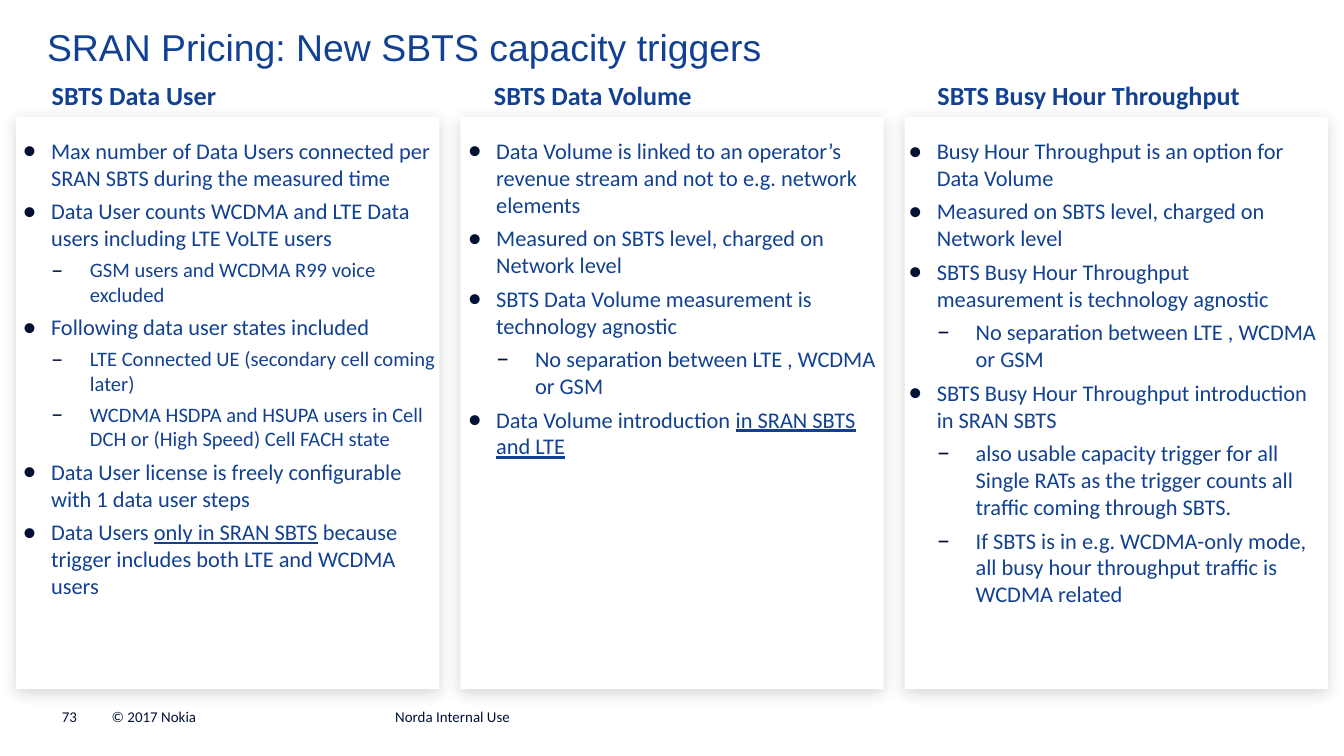
"""Build the slide on SBTS capacity triggers: three bulleted panels under headings."""
from dataclasses import dataclass
from typing import NamedTuple

from lxml.etree import SubElement
from pptx import Presentation
from pptx.dml.color import RGBColor as RGB
from pptx.enum.shapes import MSO_SHAPE as SHAPE
from pptx.enum.text import MSO_ANCHOR as ANCHOR
from pptx.oxml.ns import qn
from pptx.util import Pt


@dataclass(frozen=True)
class Theme:
    blue: str = "124191"
    navy: str = "001135"
    white: str = "FFFFFF"
    shadow: str = "808080"
    title_font: str = "Arial"
    body_font: str = "Calibri"
    title: float = 20
    heading: float = 14
    body: float = 12
    small: float = 11
    footer: float = 8


T = Theme()


class Box(NamedTuple):
    left: float
    top: float
    width: float
    height: float


class Style(NamedTuple):
    size: float
    color: str = T.blue
    font: str = T.body_font
    bold: bool = False


class Level(NamedTuple):
    number: int
    char: str
    margin: float
    hang: float
    scale: int


class Item(NamedTuple):
    text: str
    level: Level
    size: float = T.body
    underlined: str = ""
    tail: str = ""


class Panel(NamedTuple):
    heading: str
    heading_left: float
    body: Box
    items: list[Item]


class Label(NamedTuple):
    text: str
    box: Box
    style: Style
    anchor: ANCHOR = ANCHOR.TOP


MAIN = Level(1, "•", 15.2, 15.2, 125)
SUB = Level(2, "–", 36, 20.8, 120)
FOOTER = Style(T.footer, T.navy)

LABELS = [
    Label("SRAN Pricing: New SBTS capacity triggers", Box(25.2, 13, 654.5, 24.5),
          Style(T.title, font=T.title_font)),
    Label("73", Box(33.1, 379.4, 20.2, 9.4), FOOTER, ANCHOR.BOTTOM),
    Label("© 2017 Nokia", Box(59.8, 379.4, 141.8, 9.4), FOOTER, ANCHOR.BOTTOM),
    Label("Norda Internal Use", Box(211.7, 379.4, 203, 9.4), FOOTER, ANCHOR.BOTTOM),
]

PANELS = [
    Panel("SBTS Data User", 27.7, Box(12.2, 73.4, 223.2, 283), [
        Item("Max number of Data Users connected per SRAN SBTS during the measured time", MAIN),
        Item("Data User counts WCDMA and LTE Data users including LTE VoLTE users", MAIN),
        Item("GSM users and WCDMA R99 voice excluded", SUB, T.small),
        Item("Following data user states included", MAIN),
        Item("LTE Connected UE (secondary cell coming later)", SUB, T.small),
        Item("WCDMA HSDPA and HSUPA users in Cell DCH or (High Speed) Cell FACH state",
             SUB, T.small),
        Item("Data User license is freely configurable with 1 data user steps", MAIN),
        Item("Data Users ", MAIN, underlined="only in SRAN SBTS",
             tail=" because trigger includes both LTE and WCDMA users"),
    ]),
    Panel("SBTS Data Volume", 264.6, Box(250.6, 73.4, 222.5, 177), [
        Item("Data Volume is linked to an operator’s revenue stream and not to e.g. "
             "network elements", MAIN),
        Item("Measured on SBTS level, charged on Network level", MAIN),
        Item("SBTS Data Volume measurement is technology agnostic", MAIN),
        Item("No separation between LTE , WCDMA or GSM", SUB),
        Item("Data Volume introduction ", MAIN, underlined="in SRAN SBTS and LTE"),
    ]),
    Panel("SBTS Busy Hour Throughput", 502.2, Box(486.7, 73.4, 218.9, 258.5), [
        Item("Busy Hour Throughput is an option for Data Volume", MAIN),
        Item("Measured on SBTS level, charged on Network level", MAIN),
        Item("SBTS Busy Hour Throughput measurement is technology agnostic", MAIN),
        Item("No separation between LTE , WCDMA or GSM", SUB),
        Item("SBTS Busy Hour Throughput introduction in SRAN SBTS", MAIN),
        Item("also usable capacity trigger for all Single RATs as the trigger counts all "
             "traffic coming through SBTS.", SUB),
        Item("If SBTS is in e.g. WCDMA-only mode, all busy hour throughput traffic is "
             "WCDMA related", SUB),
    ]),
]


def add_run(p, text: str, style: Style, underline: bool = False) -> None:
    r = p.add_run()
    r.text = text
    f = r.font
    f.name, f.size, f.bold = style.font, Pt(style.size), style.bold
    f.underline = underline
    f.color.rgb = RGB.from_string(style.color)


def add_text_frame(s, box: Box, anchor: ANCHOR = ANCHOR.TOP):
    tf = s.shapes.add_textbox(*map(Pt, box)).text_frame
    tf.margin_left = tf.margin_top = tf.margin_right = tf.margin_bottom = 0
    tf.word_wrap = True
    tf.vertical_anchor = anchor
    return tf


def add_label(s, label: Label) -> None:
    tf = add_text_frame(s, label.box, label.anchor)
    add_run(tf.paragraphs[0], label.text, label.style)


def add_card(s, box: Box) -> None:
    sp = s.shapes.add_shape(SHAPE.RECTANGLE, *map(Pt, box))
    sp.fill.solid()
    sp.fill.fore_color.rgb = RGB.from_string(T.white)
    sp.line.fill.background()
    sp.shadow.inherit = False
    effects = sp.element.spPr.find(qn("a:effectLst"))
    shadow = SubElement(effects, qn("a:outerShdw"), blurRad=str(Pt(8)), dist=str(Pt(2)),
                        dir="5400000", algn="t", rotWithShape="0")
    color = SubElement(shadow, qn("a:srgbClr"), val=T.shadow)
    SubElement(color, qn("a:alpha"), val="33000")


def set_bullet(p, level: Level) -> None:
    p.level = level.number
    pPr = p._p.get_or_add_pPr()
    pPr.set("marL", str(Pt(level.margin)))
    pPr.set("indent", str(-Pt(level.hang)))
    SubElement(SubElement(pPr, qn("a:buClr")), qn("a:srgbClr"), val=T.navy)
    SubElement(pPr, qn("a:buSzPct"), val=str(level.scale * 1000))
    SubElement(pPr, qn("a:buFont"), typeface=T.body_font)
    SubElement(pPr, qn("a:buChar"), char=level.char)


def add_items(s, box: Box, items: list[Item]) -> None:
    tf = add_text_frame(s, box)
    for i, item in enumerate(items):
        p = tf.add_paragraph() if i else tf.paragraphs[0]
        set_bullet(p, item.level)
        p.space_before = Pt(0.3 * item.size if i else 0)
        for text in (item.text, item.underlined, item.tail):
            if text:
                add_run(p, text, Style(item.size), underline=text == item.underlined)


def main() -> None:
    prs = Presentation()
    prs.slide_width, prs.slide_height = Pt(720), Pt(405)
    s = prs.slides.add_slide(prs.slide_layouts[6])
    for i, panel in enumerate(PANELS):
        add_card(s, Box(8.6 + 238 * i, 62.6, 226.8, 306.7))
        add_items(s, panel.body, panel.items)
        add_label(s, Label(panel.heading, Box(panel.heading_left, 42.5, 210, 17.3),
                           Style(T.heading, bold=True)))
    for label in LABELS:
        add_label(s, label)
    prs.save("out.pptx")


if __name__ == "__main__":
    main()
